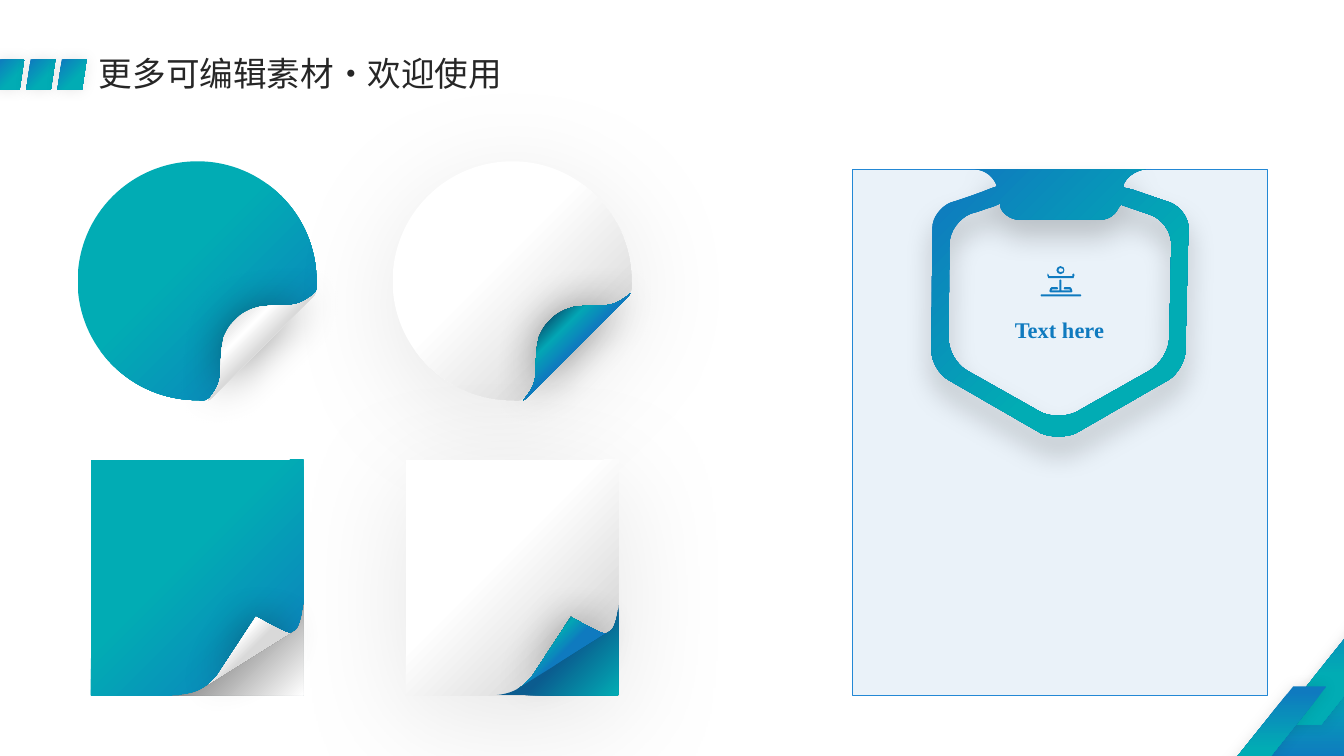
from dataclasses import dataclass
from typing import Optional

from lxml.etree import SubElement
from pptx import Presentation
from pptx.dml.color import RGBColor
from pptx.enum.shapes import MSO_SHAPE
from pptx.enum.text import MSO_ANCHOR, MSO_AUTO_SIZE, PP_ALIGN
from pptx.oxml.ns import qn
from pptx.util import Pt


@dataclass(frozen=True)
class Gradient:
    stops: tuple[tuple[int, str], ...]  # percent, colour
    angle: int = 45  # clockwise


@dataclass(frozen=True)
class Shadow:
    opacity: int
    blur: float
    distance: float = 0
    angle: int = 0


@dataclass(frozen=True)
class Theme:
    ink: str = "262626"
    blue: str = "0F7ABF"
    panel: str = "BCD6ED"
    panel_edge: str = "2388D5"
    title_font: str = "Noto Sans CJK SC"
    label_font: str = "Times New Roman"
    title_size: float = 24
    label_size: float = 16
    hair_size: float = 1
    brand: tuple = ((5, "0F7ABF"), (63, "01ACB4"))
    teal_face: Gradient = Gradient(((42, "01ACB4"), (100, "0F7ABF")))
    white_face: Gradient = Gradient(((42, "FFFFFF"), (100, "C8C8C8")))
    white_curl: Gradient = Gradient(((18, "D9D9D9"), (35, "FFFFFF"), (50, "D9D9D9")))
    blue_curl: Gradient = Gradient(((18, "083D60"), (35, "03A6B5"), (50, "0F7ABF")))
    grey_under: Gradient = Gradient(((34, "808080"), (100, "FFFFFF")))
    teal_under: Gradient = Gradient(((57, "0B5C8F"), (100, "01ACB4")))
    soft: Shadow = Shadow(10, 10, 0, 315)
    curl: Shadow = Shadow(40, 30)
    glow: Shadow = Shadow(10, 86, 16, 90)
    badge: Shadow = Shadow(20, 20, 12, 90)


@dataclass(frozen=True)
class Band:
    left: float
    top: float
    width: float
    height: float
    slant: float
    angle: int


@dataclass(frozen=True)
class Sticker:
    shift: float
    face: Gradient
    curl: Gradient
    under: Gradient
    shadow: Optional[Shadow]


THEME = Theme()
GRID = 0.72  # points per outline unit

BANDS = [
    Band(894.2, 450.7, 156.2, 97.2, 0.788, 270),
    Band(911.5, 422.6, 108, 95, 0.797, 90),
    Band(866.9, 490.3, 80.6, 71.3, 0.797, 90),
] + [Band(-3.6 + 22.3 * i, 42.5, 20.9, 21.6, 0.156, 45) for i in range(3)]

STICKERS = [
    Sticker(0, THEME.teal_face, THEME.white_curl, THEME.grey_under, None),
    Sticker(225, THEME.white_face, THEME.blue_curl, THEME.teal_under, THEME.glow),
]

# Outlines: M move, L line, C cubic curve, Z close
HEXAGON = """M 992 202 L 985 205 C 978 207 971 210 963 212 C 951 217 942 230 942 242 L 941 335
C 941 348 949 362 960 368 L 1031 408 C 1041 414 1059 414 1069 408 L 1140 368
C 1151 362 1160 347 1160 335 L 1162 242 C 1162 230 1153 217 1141 213 L 1112 203 L 1109 207
C 1106 214 1099 218 1090 218 L 1012 218 C 1004 218 997 214 993 207 Z
M 967 168 L 1136 168 C 1126 169 1118 176 1115 182 L 1114 186 L 1123 188 L 1161 201
C 1171 205 1179 216 1179 226 L 1176 348 C 1176 358 1168 372 1159 377 L 1067 430
C 1062 432 1056 433 1050 433 C 1044 433 1038 432 1033 430 L 941 377 C 932 372 924 359 924 348
L 925 226 C 925 216 933 205 943 201 C 959 196 973 191 983 187 L 989 185 L 988 182
C 985 176 979 169 967 168 Z"""
DESK_ICON = """M 1052 272 C 1055 272 1056 270 1056 268 C 1056 266 1055 264 1052 264
C 1050 264 1048 266 1048 268 C 1048 270 1050 272 1052 272 Z
M 1052 266 C 1054 266 1055 267 1055 268 C 1055 269 1054 270 1052 270
C 1051 270 1050 269 1050 268 C 1050 267 1051 266 1052 266 Z
M 1033 292 L 1072 292 C 1073 292 1073 294 1072 294 L 1033 294 C 1032 294 1032 292 1033 292 Z
M 1039 273 C 1039 271 1040 271 1040 272 L 1041 274 L 1064 274 L 1064 272
C 1065 271 1066 271 1066 273 L 1065 276 L 1040 276 Z
M 1044 287 L 1043 288 L 1051 288 L 1051 278 C 1051 277 1053 277 1053 278 L 1053 288 L 1062 288
L 1061 287 L 1056 287 C 1055 287 1055 285 1056 285 L 1062 285 L 1063 286 L 1064 289 L 1063 290
L 1042 290 L 1041 289 L 1042 286 L 1043 285 L 1049 285 C 1050 285 1050 287 1049 287 Z"""
DISC = """M 196 160 C 261 160 314 213 314 279 C 314 282 315 286 313 289 C 311 293 309 295 307 296
L 213 391 C 210 393 208 394 205 396 C 203 398 199 397 196 397 C 130 397 77 344 77 279
C 77 213 130 160 196 160 Z"""
DISC_CURL = """M 313 291 C 310 295 309 296 307 298 L 214 391 C 213 393 211 394 207 397
C 213 389 218 383 219 371 C 219 366 219 356 220 346 L 222 335 C 224 330 227 324 232 319
L 235 316 C 240 311 246 308 252 306 L 259 304 L 263 304 C 273 302 282 303 288 303
C 299 302 306 297 313 291 Z"""
PAGE_CURL = """M 216 670 L 254 612 C 261 616 270 621 274 623 C 279 625 287 631 293 627
L 200 685 C 206 681 213 673 216 670 Z"""
PAGE_UNDER = """M 301 600 L 301 690 L 171 690 C 180 690 191 689 200 684 L 293 626
C 297 624 300 612 301 603 Z"""


def paint(shape, fill: Gradient | str, shadow: Optional[Shadow] = None) -> None:
    properties = shape._element.spPr
    shape.line.fill.background()
    if isinstance(fill, Gradient):
        shape.fill.gradient()
        shape.fill.gradient_angle = (360 - fill.angle) % 360
        stop_list = properties.find(qn("a:gradFill")).find(qn("a:gsLst"))
        stop_list.clear()
        for percent, colour in fill.stops:
            stop = SubElement(stop_list, qn("a:gs"), pos=str(percent * 1000))
            SubElement(stop, qn("a:srgbClr"), val=colour)
    else:
        shape.fill.solid()
        shape.fill.fore_color.rgb = RGBColor.from_string(fill)
    shape.shadow.inherit = False
    if shadow:
        outer = SubElement(properties.find(qn("a:effectLst")), qn("a:outerShdw"),
                           blurRad=str(Pt(shadow.blur)), dist=str(Pt(shadow.distance)),
                           dir=str(shadow.angle * 60000), algn="ctr", rotWithShape="0")
        colour = SubElement(outer, qn("a:srgbClr"), val="000000")
        SubElement(colour, qn("a:alpha"), val=str(shadow.opacity * 1000))


def draw_outline(slide, outline: str, fill: Gradient | str, shadow: Optional[Shadow] = None, shift: float = 0) -> None:
    loops, commands, words = [], [], iter(outline.split())
    for command in words:
        if command == "Z":
            continue
        points = [(Pt(float(next(words)) * GRID + shift), Pt(float(next(words)) * GRID))
                  for _ in range(3 if command == "C" else 1)]
        if command == "M":
            loops.append(points)
        else:
            loops[-1] += points
            commands.append(command)
    builder = slide.shapes.build_freeform(*loops[0][0])
    for index, loop in enumerate(loops):
        if index:
            builder.move_to(*loop[0])
        builder.add_line_segments(loop[1:], close=True)
    shape = builder.convert_to_shape()

    # Each curve takes three successive points: two handles and its end
    segments = iter(list(shape._element.spPr.iter(qn("a:lnTo"))))
    for command in commands:
        segment = next(segments)
        if command == "C":
            segment.tag = qn("a:cubicBezTo")
            for _ in range(2):
                following = next(segments)
                segment.append(following[0])
                following.getparent().remove(following)
    paint(shape, fill, shadow)


def draw_preset(slide, kind: MSO_SHAPE, left: float, top: float, width: float, height: float,
                fill: Gradient | str, shadow: Optional[Shadow] = None):
    shape = slide.shapes.add_shape(kind, Pt(left), Pt(top), Pt(width), Pt(height))
    paint(shape, fill, shadow)
    return shape


def style_text(paragraph, face: str, size: float, colour: str, bold: bool) -> None:
    font = paragraph.font
    font.size, font.bold, font.name = Pt(size), bold, face
    font.color.rgb = RGBColor.from_string(colour)
    SubElement(paragraph._p.pPr.find(qn("a:defRPr")), qn("a:ea"), typeface=face)


def main() -> None:
    deck = Presentation()
    deck.slide_width, deck.slide_height = Pt(960), Pt(540)
    slide = deck.slides.add_slide(deck.slide_layouts[5])

    # Corner bands and heading marks
    for band in BANDS:
        shape = draw_preset(slide, MSO_SHAPE.PARALLELOGRAM, band.left, band.top, band.width, band.height,
                            Gradient(THEME.brand, band.angle), THEME.soft)
        shape.adjustments[0] = band.slant

    # Title
    title = slide.shapes.title
    title.left, title.top, title.width, title.height = Pt(63.4), Pt(37.4), Pt(712), Pt(28.1)
    title.text_frame.text = "更多可编辑素材·欢迎使用"
    title.text_frame.auto_size = MSO_AUTO_SIZE.NONE
    title.text_frame.vertical_anchor = MSO_ANCHOR.MIDDLE
    title.text_frame.margin_top = Pt(8.4)
    heading = title.text_frame.paragraphs[0]
    heading.alignment, heading.line_spacing = PP_ALIGN.LEFT, 0.9
    style_text(heading, THEME.title_font, THEME.title_size, THEME.ink, False)

    # Panel with hexagon badge
    panel = draw_preset(slide, MSO_SHAPE.RECTANGLE, 608.7, 121, 296.5, 375.8, THEME.panel)
    panel_colour = panel._element.spPr.find(qn("a:solidFill")).find(qn("a:srgbClr"))
    SubElement(panel_colour, qn("a:alpha"), val="30000")
    panel.line.color.rgb = RGBColor.from_string(THEME.panel_edge)
    panel.line.width = Pt(0.5)
    draw_outline(slide, HEXAGON, Gradient(THEME.brand), THEME.badge)
    badge_label = slide.shapes.add_textbox(Pt(689.8), Pt(222.5), Pt(133.9), Pt(25.9))
    badge_label.text_frame.word_wrap = False
    caption = badge_label.text_frame.paragraphs[0]
    caption.alignment = PP_ALIGN.CENTER
    style_text(caption, THEME.label_font, THEME.label_size, THEME.blue, True)
    for words, size in (("Text h", THEME.label_size), (" ", THEME.hair_size), ("ere", THEME.label_size)):
        run = caption.add_run()
        run.text, run.font.size = words, Pt(size)
    draw_outline(slide, DESK_ICON, THEME.blue)

    # Round stickers, then square ones
    for sticker in STICKERS:
        draw_outline(slide, DISC, sticker.face, sticker.shadow, sticker.shift)
        draw_outline(slide, DISC_CURL, sticker.curl, THEME.curl, sticker.shift)
    for sticker in STICKERS:
        draw_preset(slide, MSO_SHAPE.RECTANGLE, 65 + sticker.shift, 328.3, 152, 168.5, sticker.face, sticker.shadow)
        draw_outline(slide, PAGE_CURL, sticker.curl, THEME.curl, sticker.shift)
        draw_outline(slide, PAGE_UNDER, sticker.under, None, sticker.shift)

    deck.save("out.pptx")


if __name__ == "__main__":
    main()
